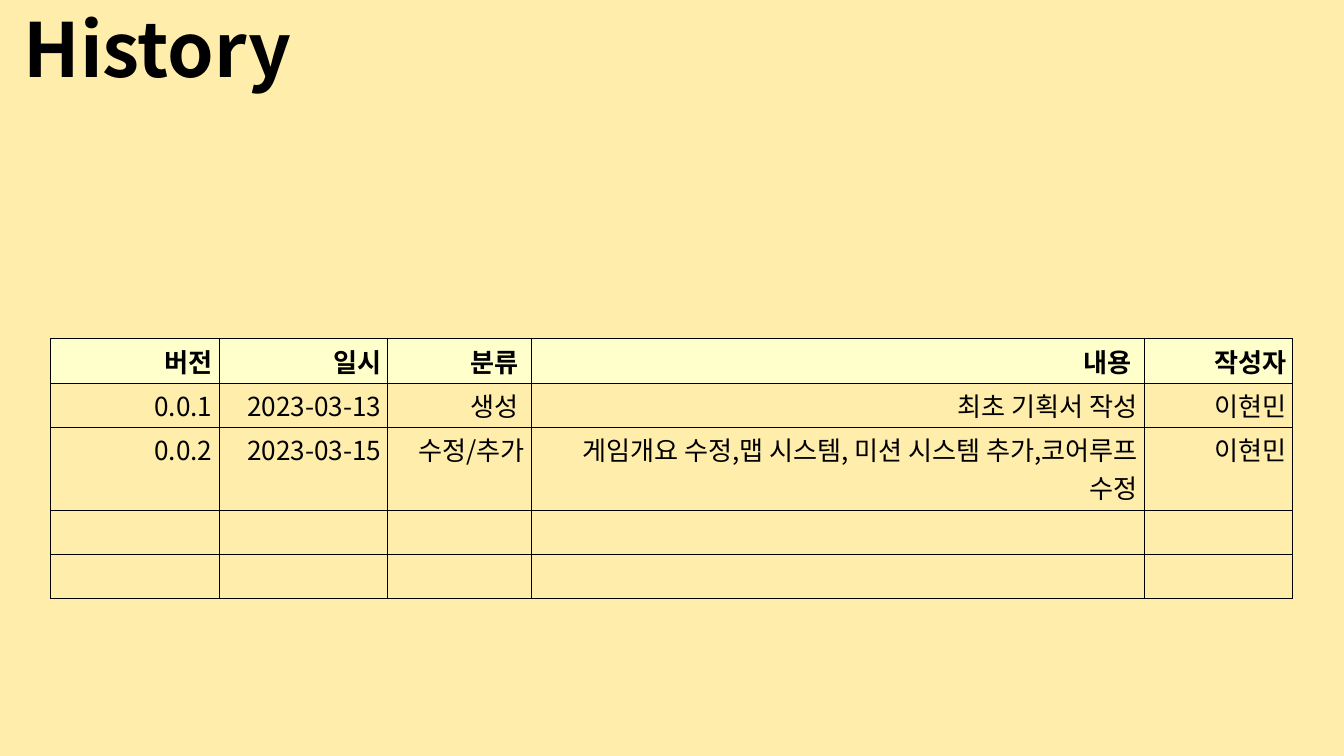
from dataclasses import dataclass

from lxml import etree
from pptx import Presentation
from pptx.dml.color import RGBColor
from pptx.enum.text import MSO_ANCHOR, MSO_AUTO_SIZE, PP_ALIGN
from pptx.oxml.ns import qn
from pptx.util import Inches, Pt

TOP = MSO_ANCHOR.TOP
GROW = MSO_AUTO_SIZE.SHAPE_TO_FIT_TEXT
LEFT, RIGHT = PP_ALIGN.LEFT, PP_ALIGN.RIGHT
TITLE_ONLY = 5


@dataclass(frozen=True)
class Theme:
    """Colours, font and type sizes of the deck."""
    font: str = "Noto Sans CJK KR"
    ink: str = "000000"
    paper: str = "FFEDAB"
    header: str = "FFFFCC"
    title_size: int = 80
    table_size: int = 28
    border: int = 1


THEME = Theme()
SLIDE_SIZE = (20, 11.25)
TITLE_BOX = (0.25, 0.15, 4.29, 1.45)
TABLE_BOX = (0.75, 5.04, 18.5, 3.87)
COLUMN_WIDTHS = (2.51, 2.51, 2.14, 9.12, 2.21)
ROW_HEIGHTS = (0.66, 0.66, 1.23, 0.66, 0.66)
HISTORY = (
    ("버전", "일시", "분류 ", "내용 ", "작성자"),
    ("0.0.1", "2023-03-13", "생성 ", "최초 기획서 작성", "이현민"),
    ("0.0.2", "2023-03-15", "수정/추가",
     "게임개요 수정,맵 시스템, 미션 시스템 추가,코어루프 수정", "이현민"),
    ("",) * 5,
    ("",) * 5,
)


def apply_format(target, values):
    """Set every named attribute on the target."""
    for name, value in values.items():
        setattr(target, name, value)


def write_text(para, text, size, bold, alignment):
    """Write one formatted span into a paragraph."""
    para.alignment = alignment
    span = para.add_run()
    span.text = text
    apply_format(span.font, {"size": Pt(size), "bold": bold, "name": THEME.font})
    span.font.color.rgb = RGBColor.from_string(THEME.ink)
    east_asian = etree.SubElement(span.font._element, qn("a:ea"))
    east_asian.set("typeface", THEME.font)


def draw_borders(cell):
    """Put a thin solid line on all four sides of a cell."""
    properties = cell._tc.get_or_add_tcPr()
    for index, side in enumerate("LRTB"):
        line = etree.Element(qn(f"a:ln{side}"), w=str(Pt(THEME.border)))
        fill = etree.SubElement(line, qn("a:solidFill"))
        etree.SubElement(fill, qn("a:srgbClr"), val=THEME.ink)
        properties.insert(index, line)


def add_title(page, box, text):
    """Place the page title in the given box."""
    title = page.shapes.title
    left, top, width, height = map(Inches, box)
    apply_format(title, {"left": left, "top": top, "width": width, "height": height})
    apply_format(title.text_frame, {
        "word_wrap": False, "auto_size": GROW, "vertical_anchor": TOP})
    para = title.text_frame.paragraphs[0]
    para.line_spacing = 0.9
    write_text(para, text, THEME.title_size, True, LEFT)


def add_history_table(page, box, rows):
    """Place the revision table in the given box."""
    frame = page.shapes.add_table(len(rows), len(rows[0]), *map(Inches, box))
    table = frame.table
    apply_format(table, {"first_row": False, "horz_banding": False})
    for column, width in zip(table.columns, COLUMN_WIDTHS):
        column.width = Inches(width)
    for row, height in zip(table.rows, ROW_HEIGHTS):
        row.height = Inches(height)
    for row_index, texts in enumerate(rows):
        is_header = row_index == 0
        for column_index, text in enumerate(texts):
            cell = table.cell(row_index, column_index)
            if is_header:
                cell.fill.solid()
                cell.fill.fore_color.rgb = RGBColor.from_string(THEME.header)
            else:
                cell.fill.background()
            draw_borders(cell)
            if text:
                write_text(cell.text_frame.paragraphs[0], text,
                           THEME.table_size, is_header, RIGHT)


def main():
    """Build and save the deck."""
    deck = Presentation()
    deck.slide_width, deck.slide_height = map(Inches, SLIDE_SIZE)
    page = deck.slides.add_slide(deck.slide_layouts[TITLE_ONLY])
    page.background.fill.solid()
    page.background.fill.fore_color.rgb = RGBColor.from_string(THEME.paper)
    add_history_table(page, TABLE_BOX, HISTORY)
    add_title(page, TITLE_BOX, "History")
    deck.save("out.pptx")


if __name__ == "__main__":
    main()
